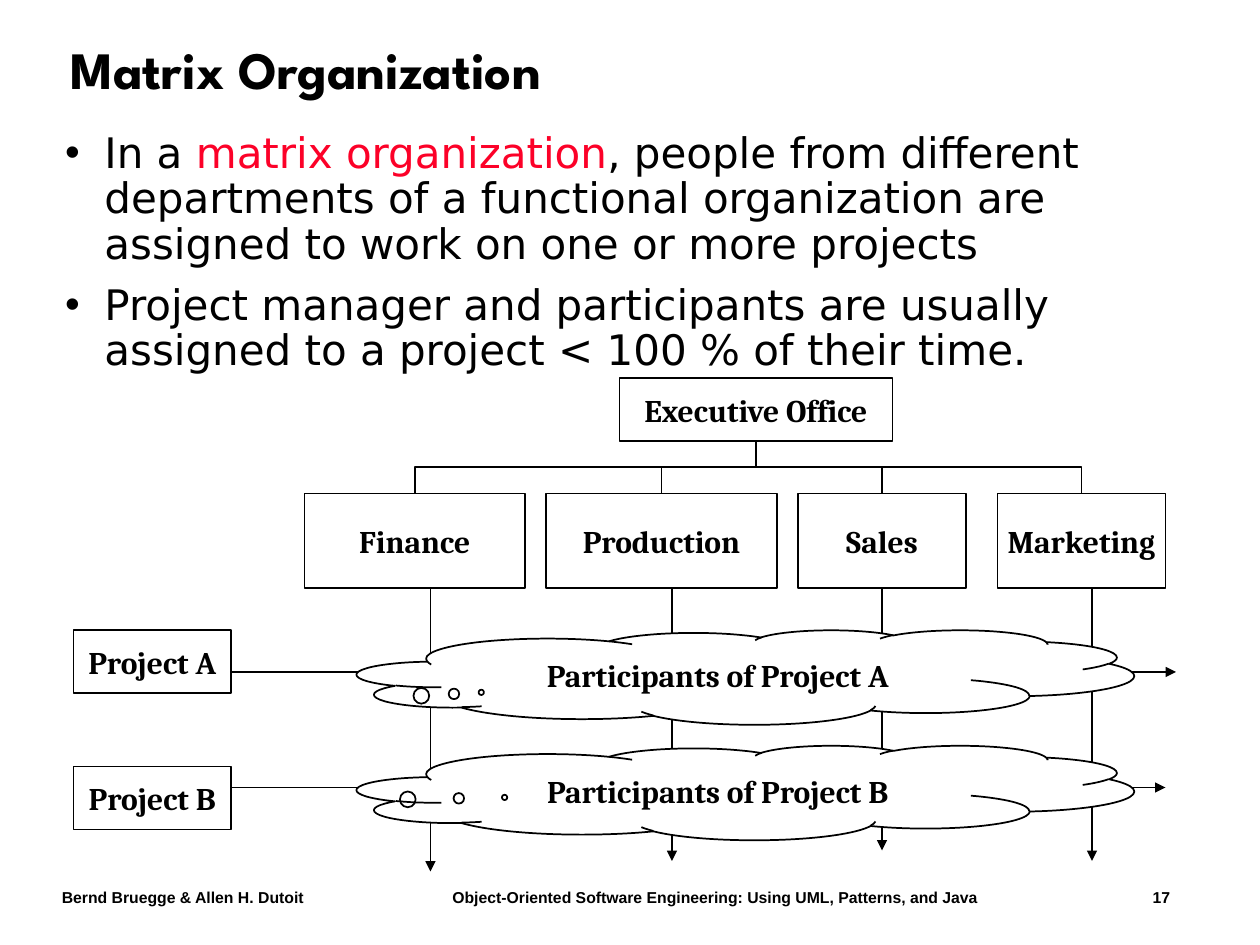
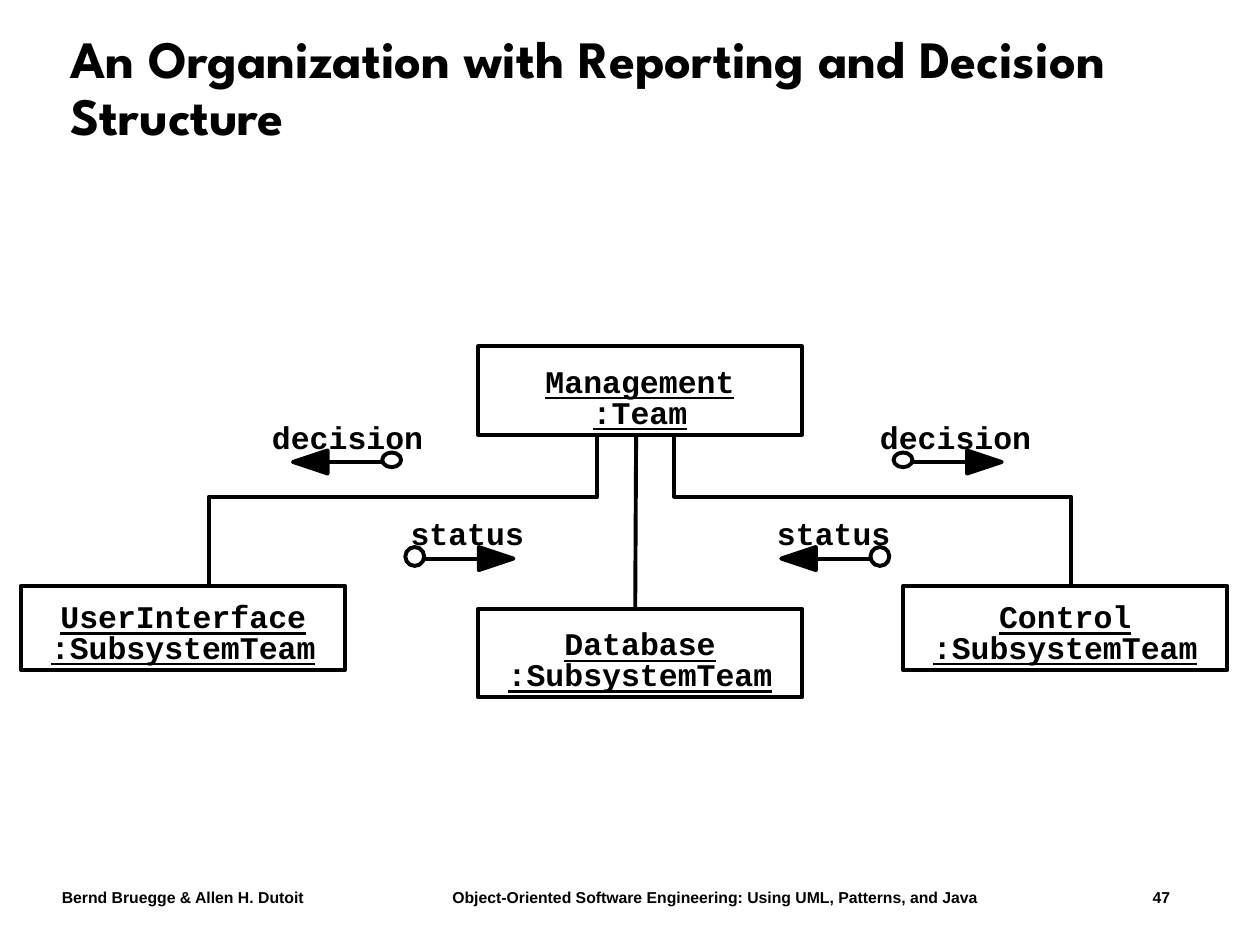
from lxml.etree import SubElement
from pptx import Presentation
from pptx.dml.color import RGBColor
from pptx.enum.shapes import MSO_CONNECTOR, MSO_SHAPE
from pptx.enum.text import MSO_ANCHOR, MSO_AUTO_SIZE, PP_ALIGN
from pptx.oxml.ns import qn
from pptx.util import Inches, Pt

BLACK = RGBColor(0x00, 0x00, 0x00)
WHITE = RGBColor(0xFF, 0xFF, 0xFF)
RED = RGBColor(0xFC, 0x01, 0x28)

TITLE_FONT = "League Spartan"
BODY_FONT = "DejaVu Sans"
CHART_FONT = "Cambria"
CODE_FONT = "Courier New"
FOOTER_FONT = "Arial"

AUTHORS = "Bernd Bruegge & Allen H. Dutoit"
BOOK = "Object-Oriented Software Engineering: Using UML, Patterns, and Java"

TITLE_AND_BODY, TITLE_ONLY = 1, 5
COLUMNS, ROWS = 120, 90


def write(paragraph, text, font=CHART_FONT, size=18, color=BLACK, bold=True, underline=None):
    run = paragraph.add_run()
    run.text = text
    run.font.name = font
    run.font.size = Pt(size)
    run.font.bold = bold
    run.font.underline = underline
    run.font.color.rgb = color


class Deck:
    """Holds the shared style and the current slide; lengths are grid columns and rows."""

    def __init__(self):
        self.presentation = Presentation()
        self.presentation.slide_width = Inches(10)
        self.presentation.slide_height = Inches(7.5)
        self.column = self.presentation.slide_width / COLUMNS
        self.row = self.presentation.slide_height / ROWS
        self.slide = None

    def x(self, columns):
        return round(columns * self.column)

    def y(self, rows):
        return round(rows * self.row)

    def area(self, left, top, width, height):
        return self.x(left), self.y(top), self.x(width), self.y(height)

    def place(self, placeholder, area, anchor):
        placeholder.left, placeholder.top, placeholder.width, placeholder.height = self.area(*area)
        frame = placeholder.text_frame
        frame.auto_size = MSO_AUTO_SIZE.NONE
        frame.vertical_anchor = anchor
        return frame

    def add_slide(self, layout, title, number, title_height):
        layouts = self.presentation.slide_layouts
        self.slide = self.presentation.slides.add_slide(layouts[layout])
        area = (5.5, 2.9, 107, title_height)
        frame = self.place(self.slide.shapes.title, area, MSO_ANCHOR.MIDDLE)
        paragraph = frame.paragraphs[0]
        paragraph.alignment = PP_ALIGN.LEFT
        paragraph.line_spacing = 0.9
        write(paragraph, title, TITLE_FONT, 30)
        self.footer(number)

    def footer(self, number):
        box = self.slide.shapes.add_textbox(*self.area(4.7, 84, 110, 3))
        box.text_frame.word_wrap = True
        paragraph = box.text_frame.paragraphs[0]
        write(paragraph, f"{AUTHORS}\t{BOOK}\t{number}", FOOTER_FONT, 9)
        stops = SubElement(paragraph._p.get_or_add_pPr(), qn("a:tabLst"))
        for position in (37.2, 103.9):
            SubElement(stops, qn("a:tab"), pos=str(self.x(position)), algn="l")

    def bullets(self, area, items):
        """Fill the body with items, each a list of (text, colour) pieces."""
        frame = self.place(self.slide.placeholders[1], area, MSO_ANCHOR.TOP)
        for index, pieces in enumerate(items):
            paragraph = frame.add_paragraph() if index else frame.paragraphs[0]
            paragraph.line_spacing = 0.9
            paragraph.space_before = Pt(9)
            properties = paragraph._p.get_or_add_pPr()
            indent = self.x(3.75)
            properties.set("marL", str(indent))
            properties.set("indent", str(-indent))
            SubElement(properties, qn("a:buChar"), char="•")
            for text, color in pieces:
                write(paragraph, text, BODY_FONT, 24, color, bold=False)

    def outline(self, shape, fill, weight):
        shape.shadow.inherit = False
        if fill is None:
            shape.fill.background()
        else:
            shape.fill.solid()
            shape.fill.fore_color.rgb = fill
        shape.line.color.rgb = BLACK
        shape.line.width = Pt(weight)

    def shape(self, kind, area, fill=None, weight=1.0):
        shape = self.slide.shapes.add_shape(kind, *self.area(*area))
        self.outline(shape, fill, weight)
        return shape

    def labelled(self, text, area, kind=MSO_SHAPE.RECTANGLE):
        shape = self.shape(kind, area, WHITE)
        frame = shape.text_frame
        frame.word_wrap = False
        frame.vertical_anchor = MSO_ANCHOR.MIDDLE
        frame.paragraphs[0].alignment = PP_ALIGN.CENTER
        write(frame.paragraphs[0], text)
        return shape

    def cloud(self, text, area, tail):
        shape = self.labelled(text, area, MSO_SHAPE.CLOUD_CALLOUT)
        shape.adjustments[0], shape.adjustments[1] = tail

    def team(self, name, kind, area, fill=None):
        """Draw a UML object: underlined name and class near the bottom of a box."""
        frame = self.shape(MSO_SHAPE.RECTANGLE, area, fill, 2.25).text_frame
        frame.word_wrap = False
        frame.vertical_anchor = MSO_ANCHOR.BOTTOM
        frame.margin_bottom = self.y(0.4)
        frame.margin_top = 0
        for paragraph, text in ((frame.paragraphs[0], name), (frame.add_paragraph(), f":{kind}")):
            paragraph.alignment = PP_ALIGN.CENTER
            paragraph.line_spacing = Pt(17.6)
            write(paragraph, text, CODE_FONT, underline=True)

    def connector(self, kind, start, end, weight=1.0, arrow=False):
        connector = self.slide.shapes.add_connector(
            kind, self.x(start[0]), self.y(start[1]), self.x(end[0]), self.y(end[1]))
        connector.line.color.rgb = BLACK
        connector.line.width = Pt(weight)
        if arrow:
            SubElement(connector.line._get_or_add_ln(), qn("a:tailEnd"), type="triangle")
        SubElement(connector._element.spPr, qn("a:effectLst"))
        return connector

    def line(self, start, end, **style):
        return self.connector(MSO_CONNECTOR.STRAIGHT, start, end, **style)

    def branch(self, start, end):
        """Elbow that leaves start downwards: a horizontal elbow turned by a quarter."""
        side = 1 if end[0] > start[0] else -1
        half_drop = side * (end[1] - start[1]) / 2
        half_run = abs(end[0] - start[0]) / 2
        middle_x, middle_y = (start[0] + end[0]) / 2, (start[1] + end[1]) / 2
        elbow = self.connector(
            MSO_CONNECTOR.ELBOW,
            (middle_x + half_drop, middle_y - half_run),
            (middle_x - half_drop, middle_y + half_run))
        degrees = 270 if side > 0 else 90
        elbow._element.spPr.xfrm.set("rot", str(degrees * 60000))

    def polyline(self, points, close=False, fill=None):
        (first, *others) = [(self.x(x), self.y(y)) for x, y in points]
        builder = self.slide.shapes.build_freeform(*first)
        builder.add_line_segments(others, close=close)
        self.outline(builder.convert_to_shape(), fill, 2.25)

    def message(self, text, text_at, circle_x, line_y, direction, circle_height):
        """Draw a labelled arrow from a small circle; direction is 1 right, -1 left."""
        width = 1.8
        top = line_y - 0.2 - circle_height / 2
        self.shape(MSO_SHAPE.OVAL, (circle_x - width / 2, top, width, circle_height), weight=2.25)
        base, tip = circle_x + direction * 6.1, circle_x + direction * 9.4
        self.polyline([(base, line_y - 1.1), (tip, line_y), (base, line_y + 1.1)], True, BLACK)
        self.line((circle_x + direction * width / 2, line_y), (base, line_y), weight=2.25)
        box = self.slide.shapes.add_textbox(*self.area(*text_at, len(text) * 1.8, 3.6))
        frame = box.text_frame
        frame.word_wrap = False
        frame.margin_left = frame.margin_right = frame.margin_top = frame.margin_bottom = 0
        write(frame.paragraphs[0], text, CODE_FONT)


def matrix_slide(deck):
    deck.add_slide(TITLE_AND_BODY, "Matrix Organization", 17, title_height=8)
    deck.bullets((5, 12, 111, 25), [
        [("In a ", BLACK), ("matrix organization", RED),
         (", people from different departments of a functional organization are "
          "assigned to work on one or more projects", BLACK)],
        [("Project manager and participants are usually assigned to a project "
          "< 100 % of their time.", BLACK)],
    ])
    deck.labelled("Executive Office", (59, 36, 26, 6))
    departments = [  # name, left, width, branch x, arrow x, arrow end
        ("Finance", 29, 21, 39.5, 41, 83),
        ("Production", 52, 22, 63, 64, 82),
        ("Sales", 76, 16, 84, 84, 81),
        ("Marketing", 95, 16, 103, 104, 82),
    ]
    for name, left, width, branch_x, arrow_x, arrow_end in departments:
        deck.labelled(name, (left, 47, width, 9))
        deck.branch((72, 42), (branch_x, 47))
        deck.line((arrow_x, 56), (arrow_x, arrow_end), arrow=True)
    projects = [  # letter, box top, arrow y, arrow end, cloud top, cloud tail
        ("A", 60, 64, 112, 60, (-0.34, 0.16)),
        ("B", 73, 75, 111, 71, (-0.31, 0.05)),
    ]
    for letter, box_top, arrow_y, arrow_end, cloud_top, tail in projects:
        deck.line((22, arrow_y), (arrow_end, arrow_y), arrow=True)
        deck.labelled(f"Project {letter}", (7, box_top, 15, 6))
        deck.cloud(f"Participants of Project {letter}", (34, cloud_top, 74, 9), tail)


def reporting_slide(deck):
    deck.add_slide(TITLE_ONLY, "An Organization with Reporting and Decision Structure", 47,
                   title_height=11.3)
    for name, left, top, height in (("UserInterface", 2, 55.8, 8),
                                    ("Database", 45.5, 58, 8.4),
                                    ("Control", 86, 55.8, 8)):
        deck.team(name, "SubsystemTeam", (left, top, 30.9, height))
    deck.line((60.5, 58), (60.6, 38.2), weight=2.25)
    for team_x, management_x in ((19.9, 56.9), (102, 64.2)):
        deck.polyline([(team_x, 55.8), (team_x, 47.3), (management_x, 47.3), (management_x, 38.2)])
    for text_left, circle_x, direction in ((83.8, 86, 1), (25.9, 37.3, -1)):
        deck.message("decision", (text_left, 39.8), circle_x, 44, direction, circle_height=1.4)
    for text_left, circle_x, direction in ((74, 83.8, -1), (39.1, 39.5, 1)):
        deck.message("status", (text_left, 49), circle_x, 53.2, direction, circle_height=1.8)
    deck.team("Management", "Team", (45.5, 33, 30.9, 8.4), WHITE)


def main():
    deck = Deck()
    matrix_slide(deck)
    reporting_slide(deck)
    deck.presentation.save("out.pptx")


if __name__ == "__main__":
    main()
